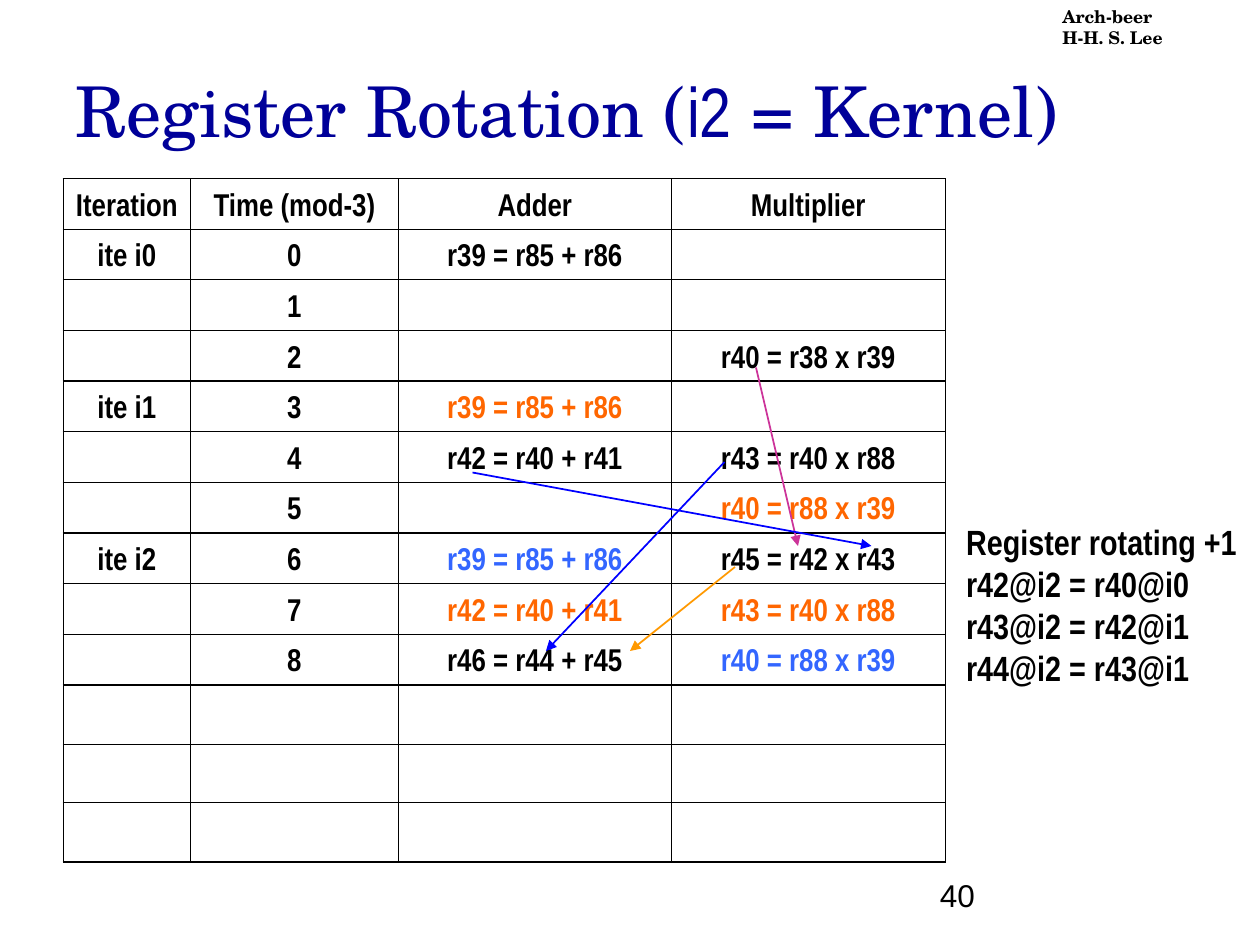
"""Build the register rotation slide with its schedule table and dependence arrows."""
from dataclasses import dataclass

from lxml import etree
from pptx import Presentation
from pptx import util as u
from pptx.dml.color import RGBColor
from pptx.enum import shapes, text
from pptx.oxml import ns

BLACK = RGBColor(0x00, 0x00, 0x00)
NAVY = RGBColor(0x00, 0x00, 0x99)
BLUE = RGBColor(0x00, 0x00, 0xFF)
SKY = RGBColor(0x33, 0x66, 0xFF)
ORANGE = RGBColor(0xFF, 0x66, 0x00)
AMBER = RGBColor(0xFF, 0x99, 0x00)
MAGENTA = RGBColor(0xCC, 0x33, 0x99)

SERIF, NARROW, SANS = "TeX Gyre Schola", "Arial Narrow", "Arial"

COLUMN_WIDTHS = (73, 118.5, 156.25, 156.25)
FILLED_HEIGHT, EMPTY_HEIGHT = 28.95, 33.7
THIN, THICK = 0.45, 1.08


@dataclass(frozen=True)
class Style:
    font: str
    size: float
    color: RGBColor = BLACK
    bold: bool = False


@dataclass(frozen=True)
class Label:
    lines: tuple[tuple[tuple[str, str], ...], ...]
    box: tuple[float, float, float, float]
    style: Style
    wrap: bool = True
    anchor: text.MSO_ANCHOR = text.MSO_ANCHOR.TOP


@dataclass(frozen=True)
class Operation:
    words: str = ""
    color: RGBColor = BLACK


@dataclass(frozen=True)
class Arrow:
    start: tuple[float, float]
    end: tuple[float, float]
    color: RGBColor


def plain(font: str, *lines: str) -> tuple:
    return tuple(((line, font),) for line in lines)


LABELS = (
    Label(plain(SERIF, "Arch-beer", "H-H. S. Lee"), (600, 0, 120, 31.5),
          Style(SERIF, 10, bold=True)),
    Label(((("Register Rotation (", SERIF), ("i2", NARROW), (" = Kernel)", SERIF)),),
          (36, 24, 612, 66), Style(SERIF, 40, NAVY), anchor=text.MSO_ANCHOR.BOTTOM),
    Label(plain(NARROW, "Register rotating +1", "r42@i2 = r40@i0",
                "r43@i2 = r42@i1", "r44@i2 = r43@i1"),
          (545, 294, 169, 104), Style(NARROW, 20, bold=True), wrap=False),
    Label(plain(SANS, "40"), (530, 490, 150, 36), Style(SANS, 18),
          anchor=text.MSO_ANCHOR.BOTTOM),
)

HEADINGS = ("Iteration", "Time (mod-3)", "Adder", "Multiplier")
IDLE = Operation()
SCHEDULE = (
    (Operation("r39 = r85 + r86"), IDLE),
    (IDLE, IDLE),
    (IDLE, Operation("r40 = r38 x r39")),
    (Operation("r39 = r85 + r86", ORANGE), IDLE),
    (Operation("r42 = r40 + r41"), Operation("r43 = r40 x r88")),
    (IDLE, Operation("r40 = r88 x r39", ORANGE)),
    (Operation("r39 = r85 + r86", SKY), Operation("r45 = r42 x r43")),
    (Operation("r42 = r40 + r41", ORANGE), Operation("r43 = r40 x r88", ORANGE)),
    (Operation("r46 = r44 + r45"), Operation("r40 = r88 x r39", SKY)),
)
EMPTY_ROWS = 3
CELL_FONT = Style(NARROW, 18, bold=True)

ARROWS = (
    Arrow((414, 264), (312, 372), BLUE),
    Arrow((420, 324), (360, 372), AMBER),
    Arrow((432, 210), (456, 312), MAGENTA),
    Arrow((270, 270), (498, 312), BLUE),
)


def apply_style(font, style: Style, color: RGBColor) -> None:
    font.name, font.size, font.bold = style.font, u.Pt(style.size), style.bold
    font.color.rgb = color


def draw_label(slide, label: Label) -> None:
    shape = slide.shapes.add_textbox(*map(u.Pt, label.box))
    frame = shape.text_frame
    frame.word_wrap, frame.vertical_anchor = label.wrap, label.anchor
    for index, line in enumerate(label.lines):
        paragraph = frame.add_paragraph() if index else frame.paragraphs[0]
        apply_style(paragraph.font, label.style, label.style.color)
        for words, font in line:
            run = paragraph.add_run()
            run.text = words
            if font != label.style.font:
                run.font.name = font


def draw_borders(cell, row: int) -> None:
    top = THICK if row > 1 and row % 3 == 1 else THIN
    bottom = THICK if row > 0 and row % 3 == 0 else THIN
    properties = cell._tc.get_or_add_tcPr()
    for side, width in (("L", THIN), ("R", THIN), ("T", top), ("B", bottom)):
        line = etree.SubElement(properties, ns.qn(f"a:ln{side}"), w=str(u.Pt(width)))
        fill = etree.SubElement(line, ns.qn("a:solidFill"))
        etree.SubElement(fill, ns.qn("a:srgbClr"), val=str(BLACK))


def table_rows() -> list[tuple[Operation, ...]]:
    rows = [tuple(map(Operation, HEADINGS))]
    for time, operations in enumerate(SCHEDULE):
        iteration = "" if time % 3 else f"ite i{time // 3}"
        rows.append((Operation(iteration), Operation(str(time)), *operations))
    return rows + [(IDLE,) * len(HEADINGS)] * EMPTY_ROWS


def draw_table(slide) -> None:
    rows = table_rows()
    heights = [FILLED_HEIGHT] * (len(rows) - EMPTY_ROWS) + [EMPTY_HEIGHT] * EMPTY_ROWS
    shape = slide.shapes.add_table(len(rows), len(COLUMN_WIDTHS), u.Pt(36), u.Pt(102),
                                   u.Pt(sum(COLUMN_WIDTHS)), u.Pt(sum(heights)))
    table = shape.table
    table.first_row = table.horz_banding = False
    for column, width in zip(table.columns, COLUMN_WIDTHS):
        column.width = u.Pt(width)
    for row, (operations, height) in enumerate(zip(rows, heights)):
        table.rows[row].height = u.Pt(height)
        for column, operation in enumerate(operations):
            cell = table.cell(row, column)
            draw_borders(cell, row)
            cell.fill.background()
            cell.vertical_anchor = text.MSO_ANCHOR.BOTTOM
            paragraph = cell.text_frame.paragraphs[0]
            paragraph.alignment = text.PP_ALIGN.CENTER
            apply_style(paragraph.font, CELL_FONT, operation.color)
            if operation.words:
                paragraph.add_run().text = operation.words


def draw_arrow(slide, arrow: Arrow) -> None:
    connector = slide.shapes.add_connector(
        shapes.MSO_CONNECTOR.STRAIGHT, *map(u.Pt, arrow.start + arrow.end))
    connector.line.color.rgb = arrow.color
    connector.line.width = u.Pt(1)
    etree.SubElement(connector.line._get_or_add_ln(), ns.qn("a:tailEnd"), type="triangle")
    etree.SubElement(connector._element.spPr, ns.qn("a:effectLst"))


def main() -> None:
    presentation = Presentation()
    presentation.slide_width, presentation.slide_height = u.Pt(720), u.Pt(540)
    slide = presentation.slides.add_slide(presentation.slide_layouts[6])
    draw_table(slide)
    for arrow in ARROWS:
        draw_arrow(slide, arrow)
    for label in LABELS:
        draw_label(slide, label)
    presentation.save("out.pptx")


if __name__ == "__main__":
    main()
